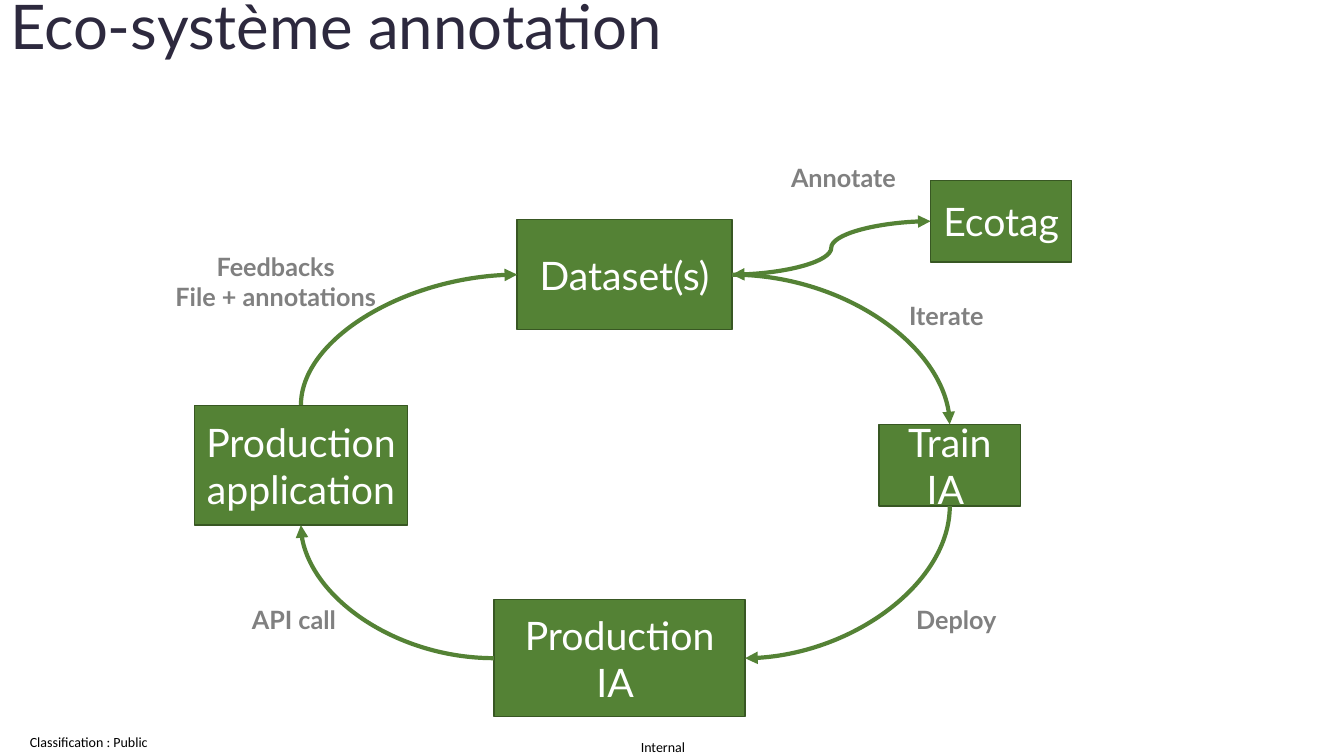
from dataclasses import dataclass

from lxml.etree import SubElement
from pptx import Presentation
from pptx.dml.color import RGBColor
from pptx.enum.shapes import MSO_CONNECTOR, MSO_SHAPE
from pptx.enum.text import MSO_ANCHOR, PP_ALIGN
from pptx.oxml.ns import qn
from pptx.slide import Slide
from pptx.text.text import TextFrame
from pptx.util import Inches, Pt

COLORS = {"title": "2D293E", "box": "548235", "edge": "385723",
          "label": "808080", "light": "FFFFFF", "dark": "000000"}


@dataclass
class Style:
    size: int
    color: str
    font: str = "Lato"
    bold: bool = False
    align: PP_ALIGN = PP_ALIGN.CENTER


@dataclass
class Item:
    text: str
    left: float
    top: float
    width: float
    height: float

    def side(self, name: str) -> tuple[float, float]:
        """Middle of one side of the item."""
        x, y = {"top": (.5, 0), "left": (0, .5),
                "bottom": (.5, 1), "right": (1, .5)}[name]
        return self.left + x * self.width, self.top + y * self.height

    def place(self) -> list[int]:
        return [Inches(n) for n in (self.left, self.top, self.width, self.height)]


@dataclass
class Link:
    start: str
    leave: str
    end: str
    enter: str
    both: bool = False


TITLE = Style(44, "title", align=PP_ALIGN.LEFT)
NODE = Style(28, "light")
LABEL = Style(18, "label", bold=True)
FOOTER = Style(10, "dark", "Calibri")

NODES = {
    "train": Item("Train IA ", 8.72, 4.21, 1.4, 0.81),
    "app": Item("Production\vapplication", 1.93, 4.02, 2.11, 1.19),
    "prod": Item("Production IA ", 4.9, 5.95, 2.49, 1.16),
    "data": Item("Dataset(s)", 5.13, 2.18, 2.13, 1.09),
    "tag": Item("Ecotag", 9.23, 1.79, 1.4, 0.81),
}
LINKS = [
    Link("data", "right", "train", "top"),
    Link("train", "bottom", "prod", "right"),
    Link("prod", "left", "app", "bottom"),
    Link("app", "top", "data", "left"),
    Link("tag", "left", "data", "right", both=True),
]
LABELS = [
    Item("API call", 2.25, 5.95, 1.33, 0.4),
    Item("Deploy", 8.82, 5.95, 1.33, 0.4),
    Item("Feedbacks\nFile + annotations", 1.53, 2.44, 2.41, 0.71),
    Item("Annotate", 7.37, 1.56, 1.99, 0.4),
    Item("Iterate", 8.39, 2.93, 1.99, 0.4),
]
FOOTERS = [
    Item("Internal", 6.34, 7.33, 0.47, 0.17),
    Item("Classification : Public", 0.18, 7.28, 1.4, 0.17),
]


def rgb(name: str) -> RGBColor:
    return RGBColor.from_string(COLORS[name])


def write(frame: TextFrame, text: str, style: Style) -> None:
    """Fill a frame: \\n starts a paragraph, \\v breaks a line."""
    frame.word_wrap = True
    for i, line in enumerate(text.split("\n")):
        par = frame.add_paragraph() if i else frame.paragraphs[0]
        par.alignment = style.align
        for j, part in enumerate(line.split("\v")):
            if j:
                par.add_line_break()
            run = par.add_run()
            run.text = part
            run.font.name = style.font
            run.font.size = Pt(style.size)
            run.font.bold = style.bold
            run.font.color.rgb = rgb(style.color)


def add_node(slide: Slide, item: Item) -> None:
    box = slide.shapes.add_shape(MSO_SHAPE.RECTANGLE, *item.place())
    box.shadow.inherit = False
    box.fill.solid()
    box.fill.fore_color.rgb = rgb("box")
    box.line.color.rgb = rgb("edge")
    box.line.width = Pt(1)
    box.text_frame.vertical_anchor = MSO_ANCHOR.MIDDLE
    write(box.text_frame, item.text, NODE)


def add_link(slide: Slide, link: Link) -> None:
    x1, y1 = NODES[link.start].side(link.leave)
    x2, y2 = NODES[link.end].side(link.enter)
    upright = link.leave in ("top", "bottom")
    if upright:  # laid out a quarter turn back, then rotated
        mx, my, dx, dy = (x1 + x2) / 2, (y1 + y2) / 2, x2 - x1, y2 - y1
        x1, y1, x2, y2 = mx - dy / 2, my + dx / 2, mx + dy / 2, my - dx / 2
    line = slide.shapes.add_connector(
        MSO_CONNECTOR.CURVE, *[Inches(n) for n in (x1, y1, x2, y2)])
    line.line.color.rgb = rgb("box")
    line.line.width = Pt(3)
    props = line._element.spPr
    if upright:
        props.find(qn("a:xfrm")).set("rot", "5400000")
    if not link.both:  # quarter arc
        props.find(qn("a:prstGeom")).set("prst", "curvedConnector2")
    for end in ("headEnd", "tailEnd") if link.both else ("tailEnd",):
        SubElement(props.find(qn("a:ln")), qn(f"a:{end}")).set("type", "triangle")
    SubElement(props, qn("a:effectLst"))


def add_text(slide: Slide, item: Item, style: Style, inset: bool = True) -> None:
    frame = slide.shapes.add_textbox(*item.place()).text_frame
    if not inset:
        frame.margin_left = frame.margin_right = 0
        frame.margin_top = frame.margin_bottom = 0
    write(frame, item.text, style)


def main() -> None:
    deck = Presentation()
    deck.slide_width, deck.slide_height = Inches(13.33), Inches(7.5)
    slide = deck.slides.add_slide(deck.slide_layouts[5])

    # Title
    title = slide.shapes.title
    spot = Item("Eco-système annotation", 0, -0.1, 11.5, 0.79)
    title.left, title.top, title.width, title.height = spot.place()
    title.text_frame.vertical_anchor = MSO_ANCHOR.MIDDLE
    write(title.text_frame, spot.text, TITLE)
    title.text_frame.paragraphs[0].line_spacing = 0.9

    # Cycle
    for node in NODES.values():
        add_node(slide, node)
    for link in LINKS:
        add_link(slide, link)
    for label in LABELS:
        add_text(slide, label, LABEL)

    # Footers
    for note in FOOTERS:
        add_text(slide, note, FOOTER, inset=False)

    deck.save("out.pptx")


if __name__ == "__main__":
    main()
